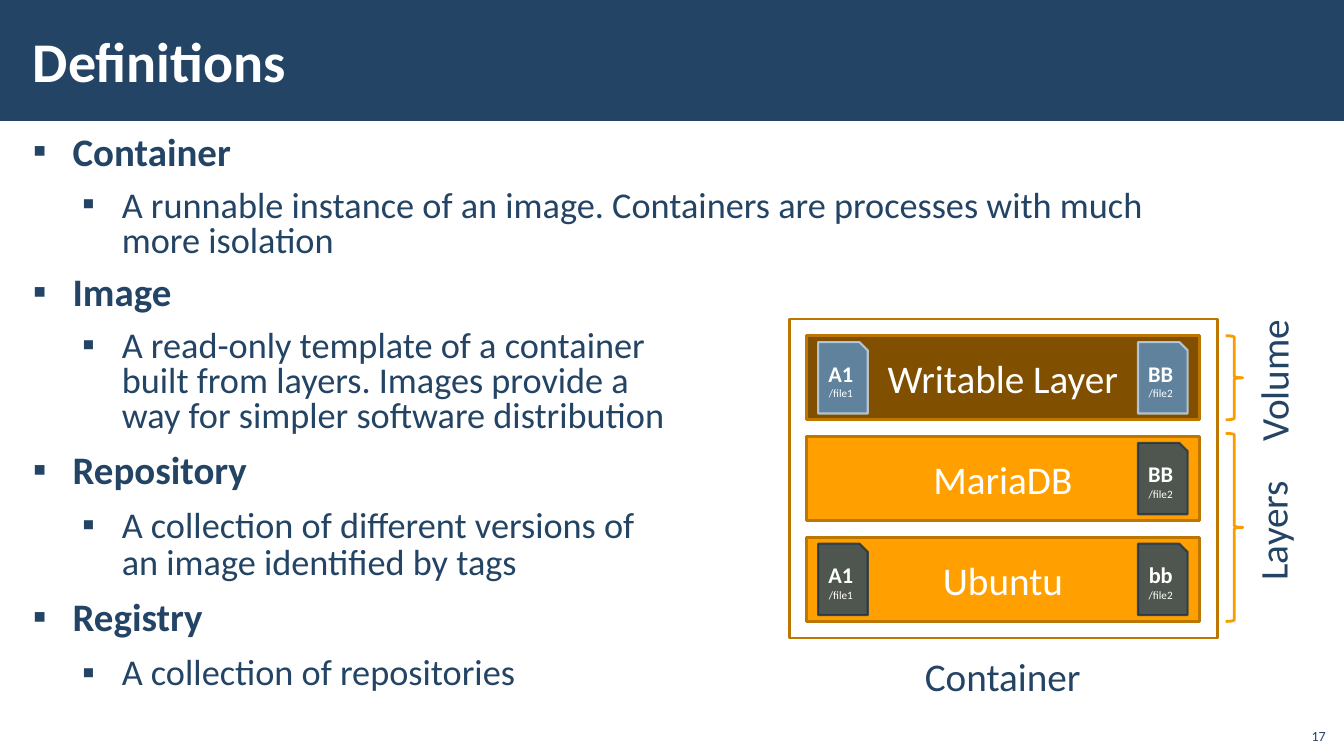
from lxml.etree import SubElement
from pptx import Presentation
from pptx.dml.color import RGBColor
from pptx.enum.shapes import MSO_SHAPE
from pptx.enum.text import MSO_ANCHOR, MSO_AUTO_SIZE, PP_ALIGN
from pptx.oxml.ns import qn
from pptx.util import Cm, Pt

NAVY, WHITE, AMBER, BROWN = "234465", "FFFFFF", "FFA000", "805000"
AMBER_EDGE, BRACE = "BD7600", "F99C00"
IMAGE_FILE, CHANGED_FILE = ("234465", "1A334C"), ("588FC5", "C7DAEC")

TITLE = "Definitions"
# term, definition, line spacing
DEFINITIONS = [
    ("Container", "A runnable instance of an image. Containers are processes with much \n"
                  "more isolation", 0.8),
    ("Image", "A read-only template of a container \nbuilt from layers. Images provide a \n"
              "way for simpler software distribution", 0.8),
    ("Repository", "A collection of different versions of \nan image identified by tags", 0.85),
    ("Registry", "A collection of repositories", 0.85),
]
# layer name, fill, file colours, files as (left, version, name)
LEFT_FILE, RIGHT_FILE = 20.62, 28.68
LAYERS = [
    ("Writable Layer", BROWN, CHANGED_FILE,
     [(LEFT_FILE, "A1", "/file1"), (RIGHT_FILE, "BB", "/file2")]),
    ("MariaDB", AMBER, IMAGE_FILE, [(RIGHT_FILE, "BB", "/file2")]),
    ("Ubuntu", AMBER, IMAGE_FILE,
     [(LEFT_FILE, "A1", "/file1"), (RIGHT_FILE, "bb", "/file2")]),
]
# text, box, rotation
LABELS = [
    ("Container", (23.06, 16.31, 4.47, 1.45), 0),
    ("Layers", (30.48, 12.55, 3.18, 1.47), 270),
    ("Volume", (30.23, 8.79, 3.71, 1.45), 270),
]
LAYER_LEFT, LAYER_TOP, LAYER_WIDTH, LAYER_HEIGHT, LAYER_PITCH = 20.32, 8.46, 9.91, 2.12, 2.54
FRAME_MARGIN = 0.42
FILE_WIDTH, FILE_HEIGHT = 1.25, 1.8
BRACE_LEFT, BRACE_WIDTH = 30.89, 0.43


def color(value):
    return RGBColor.from_string(value)


def write(paragraph, text, size, fill=NAVY, bold=False, align=PP_ALIGN.LEFT):
    paragraph.alignment = align
    for number, line in enumerate(text.split("\n")):
        if number:
            paragraph.add_line_break()
        run = paragraph.add_run()
        run.text = line
        run.font.name, run.font.size, run.font.bold = "Calibri", Pt(size), bold
        run.font.color.rgb = color(fill)


def next_paragraph(frame):
    """Return the empty first paragraph, or a new one."""
    first = frame.paragraphs[0]
    return frame.add_paragraph() if first.runs else first


def add_shape(slide, kind, box, fill=None, line=None, width=2):
    shape = slide.shapes.add_shape(kind, *map(Cm, box))
    shape.shadow.inherit = False
    if fill:
        shape.fill.solid()
        shape.fill.fore_color.rgb = color(fill)
    else:
        shape.fill.background()
    if line:
        shape.line.color.rgb = color(line)
        shape.line.width = Pt(width)
    else:
        shape.line.fill.background()
    shape.text_frame.vertical_anchor = MSO_ANCHOR.MIDDLE
    return shape


def add_label(slide, text, box, size=28, rotation=0, align=PP_ALIGN.LEFT, wrap=True):
    label = slide.shapes.add_textbox(*map(Cm, box))
    label.rotation = rotation
    label.text_frame.word_wrap = wrap
    write(label.text_frame.paragraphs[0], text, size, align=align)
    return label


def place(placeholder, box, anchor):
    placeholder.left, placeholder.top, placeholder.width, placeholder.height = map(Cm, box)
    frame = placeholder.text_frame
    frame.auto_size, frame.word_wrap = MSO_AUTO_SIZE.NONE, True
    frame.vertical_anchor = anchor
    frame.margin_left = frame.margin_right = Cm(0.3)
    frame.margin_top = frame.margin_bottom = Cm(0.1)
    return frame


def add_bullet(paragraph, indent):
    properties = paragraph._p.get_or_add_pPr()
    properties.set("marL", str(Cm(indent)))
    properties.set("indent", str(-Cm(1)))
    SubElement(properties, qn("a:buFont")).set("typeface", "Arial")
    SubElement(properties, qn("a:buChar")).set("char", "▪")


def add_definitions(frame):
    for term, definition, spacing in DEFINITIONS:
        for level, (text, size, indent) in enumerate([(term, 27.8, 1), (definition, 25.9, 2.24)]):
            is_first = not frame.paragraphs[0].runs
            paragraph = next_paragraph(frame)
            paragraph.level = level
            paragraph.line_spacing = spacing
            paragraph.space_before = Pt(0 if is_first else 6)
            paragraph.space_after = Pt(6)
            add_bullet(paragraph, indent)
            write(paragraph, text, size, bold=level == 0)


def add_file(slide, left, top, version, name, colors):
    shape = add_shape(slide, MSO_SHAPE.SNIP_1_RECTANGLE, (left, top, FILE_WIDTH, FILE_HEIGHT),
                      *colors, width=1.5)
    for part in list(shape._element.spPr.iter(qn("a:srgbClr"))):
        SubElement(part, qn("a:alpha")).set("val", "80000")
    for text, size, bold in [(version, 16, True), (name, 8, False)]:
        write(next_paragraph(shape.text_frame), text, size, WHITE, bold, PP_ALIGN.CENTER)


def add_container(slide):
    for row, (name, fill, file_colors, files) in enumerate(LAYERS):
        top = LAYER_TOP + row * LAYER_PITCH
        layer = add_shape(slide, MSO_SHAPE.RECTANGLE,
                          (LAYER_LEFT, top, LAYER_WIDTH, LAYER_HEIGHT), fill, AMBER_EDGE)
        write(layer.text_frame.paragraphs[0], name, 28, WHITE, align=PP_ALIGN.CENTER)
        for left, version, file_name in files:
            add_file(slide, left, top + (LAYER_HEIGHT - FILE_HEIGHT) / 2,
                     version, file_name, file_colors)
    stack_height = LAYER_HEIGHT + (len(LAYERS) - 1) * LAYER_PITCH
    add_shape(slide, MSO_SHAPE.RECTANGLE,
              (LAYER_LEFT - FRAME_MARGIN, LAYER_TOP - FRAME_MARGIN,
               LAYER_WIDTH + 2 * FRAME_MARGIN + 0.04, stack_height + 2 * FRAME_MARGIN),
              line=AMBER_EDGE)
    layers_top = 10.92
    for top, height in [(LAYER_TOP, LAYER_HEIGHT),
                        (layers_top, LAYER_TOP + stack_height - layers_top)]:
        add_shape(slide, MSO_SHAPE.RIGHT_BRACE, (BRACE_LEFT, top, BRACE_WIDTH, height), line=BRACE)
    for text, box, rotation in LABELS:
        add_label(slide, text, box, rotation=rotation, wrap=rotation != 0)


def main():
    presentation = Presentation()
    presentation.slide_width, presentation.slide_height = Cm(33.87), Cm(19.05)
    slide = presentation.slides.add_slide(presentation.slide_layouts[1])

    title_bar = add_shape(slide, MSO_SHAPE.RECTANGLE, (0, 0, 33.87, 3.05), NAVY)
    slide.shapes._spTree.insert(2, title_bar._element)
    title = place(slide.shapes.title, (0.53, 0.28, 27, 2.46), MSO_ANCHOR.MIDDLE)
    write(title.paragraphs[0], TITLE, 40, WHITE, bold=True)
    add_definitions(place(slide.placeholders[1], (0.53, 3.33, 32.82, 15.37), MSO_ANCHOR.TOP))

    add_container(slide)
    page = add_label(slide, "17", (32.64, 18.08, 1.02, 0.81), size=10, align=PP_ALIGN.RIGHT)
    page.text_frame.vertical_anchor = MSO_ANCHOR.BOTTOM
    presentation.save("out.pptx")


if __name__ == "__main__":
    main()
